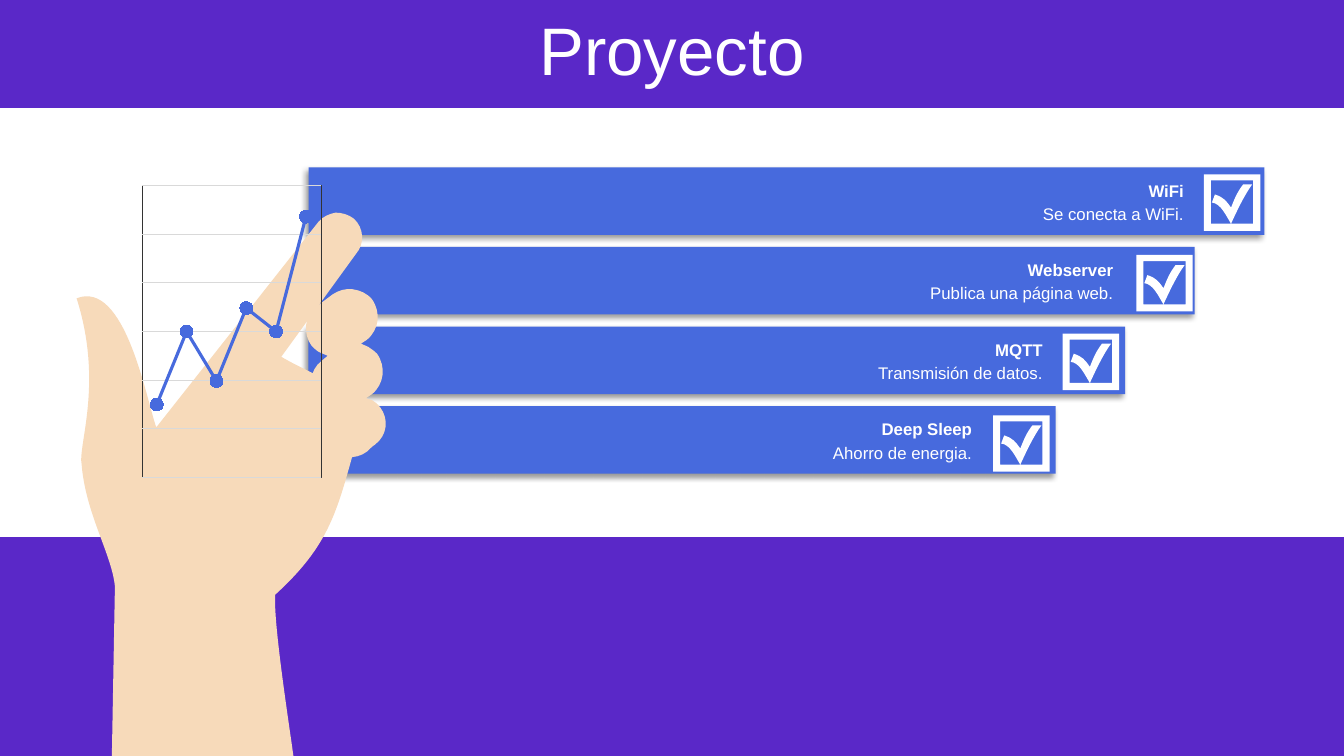
from math import cos, radians, sin
from lxml.etree import SubElement
from pptx import Presentation
from pptx.chart.data import CategoryChartData
from pptx.dml.color import RGBColor
from pptx.enum.chart import XL_CHART_TYPE, XL_MARKER_STYLE
from pptx.enum.shapes import MSO_SHAPE
from pptx.enum.text import MSO_ANCHOR, MSO_AUTO_SIZE, PP_ALIGN
from pptx.oxml import parse_xml
from pptx.oxml.ns import nsdecls, qn
from pptx.util import Inches, Pt

COLORS = {"purple": "5A28C8", "blue": "476ADD", "skin": "F7DABA",
          "white": "FFFFFF", "grid": "D9D9D9", "black": "000000", "edge": "333333"}

# Outlines in inches: a pair is a straight step, six numbers are a cubic curve.
HAND = [(3.33, 2.11), (3.39, 2.11, 3.46, 2.13, 3.51, 2.17),
        (3.61, 2.26, 3.62, 2.42, 3.53, 2.52), (2.79, 3.54),
        (3.14, 3.75, 3.65, 3.88, 3.58, 4.22),
        (3.35, 5.02, 3.32, 5.36, 2.73, 5.9),
        (2.71, 6.18, 2.87, 7.2, 2.91, 7.5), (1.11, 7.5), (1.14, 5.82),
        (1.11, 5.5, 0.85, 5.1, 0.81, 4.61),
        (0.77, 4.42, 1.03, 3.81, 0.76, 2.96),
        (1.24, 2.77, 1.45, 3.96, 1.55, 4.24), (3.16, 2.2),
        (3.2, 2.15, 3.27, 2.12, 3.33, 2.11)]
FINGERS = [(3.5, 2.87), (3.57, 2.88, 3.64, 2.91, 3.69, 2.97),
           (3.78, 3.1, 3.76, 3.27, 3.64, 3.37), (3.58, 3.41), (3.65, 3.44),
           (3.68, 3.46, 3.71, 3.48, 3.74, 3.51),
           (3.83, 3.64, 3.81, 3.81, 3.69, 3.91), (3.63, 3.95), (3.69, 3.97),
           (3.72, 3.99, 3.75, 4.01, 3.77, 4.04),
           (3.86, 4.16, 3.84, 4.32, 3.72, 4.41),
           (3.69, 4.43, 3.66, 4.46, 3.64, 4.48),
           (3.52, 4.57, 3.35, 4.55, 3.26, 4.43),
           (3.18, 4.33, 3.19, 4.19, 3.27, 4.09), (3.3, 4.07), (3.23, 4.04),
           (3.19, 4.02, 3.17, 4, 3.14, 3.97),
           (3.05, 3.85, 3.07, 3.67, 3.19, 3.58), (3.25, 3.53), (3.18, 3.5),
           (3.15, 3.49, 3.12, 3.46, 3.09, 3.43),
           (3, 3.31, 3.02, 3.13, 3.14, 3.04), (3.3, 2.92),
           (3.36, 2.88, 3.43, 2.86, 3.5, 2.87)]
FRAME = [(0, 0), (0.56, 0), (0.56, 0.56), (0, 0.56)]
TICK = [(0.07, 0.06), (0.07, 0.49), (0.27, 0.49),
        (0.22, 0.41, 0.17, 0.29, 0.08, 0.28), (0.11, 0.2),
        (0.2, 0.23, 0.22, 0.26, 0.27, 0.33),
        (0.31, 0.23, 0.33, 0.18, 0.39, 0.1), (0.48, 0.1),
        (0.4, 0.21, 0.33, 0.36, 0.27, 0.49), (0.49, 0.49), (0.49, 0.1), (0.49, 0.06)]

# Heading, detail, left and top of the check box
ITEMS = [("WiFi", "Se conecta a WiFi.", 11.94, 1.73),
         ("Webserver", "Publica una página web.", 11.27, 2.53),
         ("MQTT", "Transmisión de datos.", 10.54, 3.31),
         ("Deep Sleep", "Ahorro de energia.", 9.85, 4.12)]
STEP = 0.79


def rgb(name):
    return RGBColor.from_string(COLORS[name])


def spin(x, y, angle):
    """Turn a point clockwise about the slide's corner."""
    c, s = cos(radians(angle)), sin(radians(angle))
    return x * c - y * s, x * s + y * c


def trace(steps, left=0, top=0, angle=0):
    """Give each step as points in EMU, moved, then turned back by angle."""
    return [[tuple(map(Inches, spin(x + left, y + top, -angle)))
             for x, y in zip(step[::2], step[1::2])] for step in steps]


class Deck:
    font = "Arial"

    def __init__(self, wide, high):
        self.show = Presentation()
        self.show.slide_width, self.show.slide_height = Inches(wide), Inches(high)
        self.slide = self.show.slides.add_slide(self.show.slide_layouts[6])

    def paint(self, shape, color):
        shape.shadow.inherit = False
        shape.fill.solid()
        shape.fill.fore_color.rgb = rgb(color)
        shape.line.fill.background()

    def bar(self, box, color, shade=False):
        shape = self.slide.shapes.add_shape(MSO_SHAPE.RECTANGLE, *map(Inches, box))
        self.paint(shape, color)
        if shade:
            glow = SubElement(shape._element.spPr.find(qn("a:effectLst")),
                              qn("a:outerShdw"), blurRad=str(Pt(4)),
                              dist=str(Pt(3)), dir="8100000", rotWithShape="0")
            tone = SubElement(glow, qn("a:srgbClr"), val=COLORS["black"])
            SubElement(tone, qn("a:alpha"), val="40000")

    def free(self, color, *loops, angle=0):
        """Draw traced loops as one shape, turned by angle."""
        ends = [[step[-1] for step in loop] for loop in loops]
        pen = self.slide.shapes.build_freeform(*ends[0][0])
        for i, loop in enumerate(ends):
            if i:
                pen.move_to(*loop[0])
            pen.add_line_segments(loop[1:], close=True)
        shape = pen.convert_to_shape()
        self.paint(shape, color)
        self.bend(shape, [step for loop in loops for step in loop[1:]])
        if angle:
            x, y = spin(shape.left + shape.width / 2, shape.top + shape.height / 2, angle)
            shape.left, shape.top = int(x - shape.width / 2), int(y - shape.height / 2)
            shape.rotation = angle

    def bend(self, shape, steps):
        """Make each step of three points a cubic curve."""
        for line, step in zip(list(shape._element.iter(qn("a:lnTo"))), steps):
            if len(step) == 3:
                curve = parse_xml(f'<a:cubicBezTo {nsdecls("a")}/>')
                for x, y in step:
                    SubElement(curve, qn("a:pt"), x=str(x - shape.left), y=str(y - shape.top))
                line.getparent().replace(line, curve)

    def text(self, words, box, look, frame, align, home=None, space=None):
        """Add one line of text, to the group home if there is one."""
        shape = (home or self.slide).shapes.add_textbox(*map(Inches, box))
        body = shape.text_frame
        for key, value in {"word_wrap": True, **frame}.items():
            setattr(body, key, value)
        para = body.paragraphs[0]
        para.alignment, para.line_spacing = align, space
        run = para.add_run()
        run.text = words
        for key, value in {"name": self.font, **look}.items():
            setattr(run.font, key, value)
        run.font.color.rgb = rgb("white")

    def group(self):
        return self.slide.shapes.add_group_shape()

    def chart(self, values, box, top):
        data = CategoryChartData()
        data.categories = [str(i + 1) for i in range(len(values))]
        data.add_series("Series 1", values)
        chart = self.slide.shapes.add_chart(
            XL_CHART_TYPE.LINE_MARKERS_STACKED, *map(Inches, box), data).chart
        chart.has_legend = chart.has_title = False
        for key, value in {"name": self.font, "size": Pt(10)}.items():
            setattr(chart.font, key, value)
        chart.font.color.rgb = rgb("black")

        axis = chart.value_axis
        for key, value in {"minimum_scale": 0, "maximum_scale": top,
                           "major_unit": top / 6, "has_major_gridlines": True,
                           "visible": False}.items():
            setattr(axis, key, value)
        chart.category_axis.visible = False
        grid = axis.major_gridlines.format.line
        grid.color.rgb, grid.width = rgb("grid"), Pt(0.75)

        chart.plots[0].vary_by_categories = False
        line = chart.plots[0].series[0]
        line.smooth = False
        line.format.line.color.rgb = rgb("blue")
        line.format.line.width = Pt(2.25)
        line.marker.style, line.marker.size = XL_MARKER_STYLE.CIRCLE, 9
        line.marker.format.fill.solid()
        line.marker.format.fill.fore_color.rgb = rgb("blue")
        line.marker.format.line.color.rgb = rgb("blue")
        self.place(chart._chartSpace.chart.plotArea)

    def place(self, area):
        """Fix the plot area inside the chart and give it a thin outline."""
        for old in area.findall(qn("c:layout")):
            area.remove(old)
        spots = {"x": 0.02, "y": 0.02, "w": 0.96, "h": 0.96}
        marks = "".join(f'<c:{k} val="{v}"/>' for k, v in spots.items())
        area.insert(0, parse_xml(
            f'<c:layout {nsdecls("c")}><c:manualLayout><c:layoutTarget val="inner"/>'
            f'<c:xMode val="edge"/><c:yMode val="edge"/>{marks}'
            '</c:manualLayout></c:layout>'))
        area.append(parse_xml(
            f'<c:spPr {nsdecls("c", "a")}><a:noFill/><a:ln w="{Pt(0.25)}"><a:solidFill>'
            f'<a:srgbClr val="{COLORS["edge"]}"/></a:solidFill></a:ln></c:spPr>'))


def main():
    deck = Deck(13.33, 7.5)
    for i in range(len(ITEMS)):
        deck.bar((3.06, 1.66 + STEP * i, 9.48 - 0.69 * i, 0.67), "blue", shade=True)
    deck.bar((0, 5.33, 13.33, 2.17), "purple")
    deck.free("skin", trace(HAND, angle=41.4), angle=41.4)
    deck.bar((0, 0, 13.33, 1.07), "purple")
    deck.text("Proyecto", (0, 0.14, 13.33, 0.78), {"size": Pt(48)},
              {"vertical_anchor": MSO_ANCHOR.MIDDLE}, PP_ALIGN.CENTER, space=0.9)

    for i, (head, note, *_) in enumerate(ITEMS):
        home = deck.group()
        for words, down, bold in ((note, 0.23, False), (head, 0, True)):
            deck.text(words, (6.45 - 0.7 * i, 1.74 + STEP * i + down, 5.39, 0.3),
                      {"size": Pt(12), "bold": bold},
                      {"auto_size": MSO_AUTO_SIZE.SHAPE_TO_FIT_TEXT},
                      PP_ALIGN.RIGHT, home)

    deck.free("skin", trace(FINGERS, angle=52.5), angle=52.5)
    for *_, left, top in ITEMS:
        deck.free("white", trace(TICK, left, top), trace(FRAME, left, top))
    deck.chart((28, 56, 37, 65, 56, 100), (1.37, 1.78, 1.85, 3.02), 112)
    deck.show.save("out.pptx")


if __name__ == "__main__":
    main()
